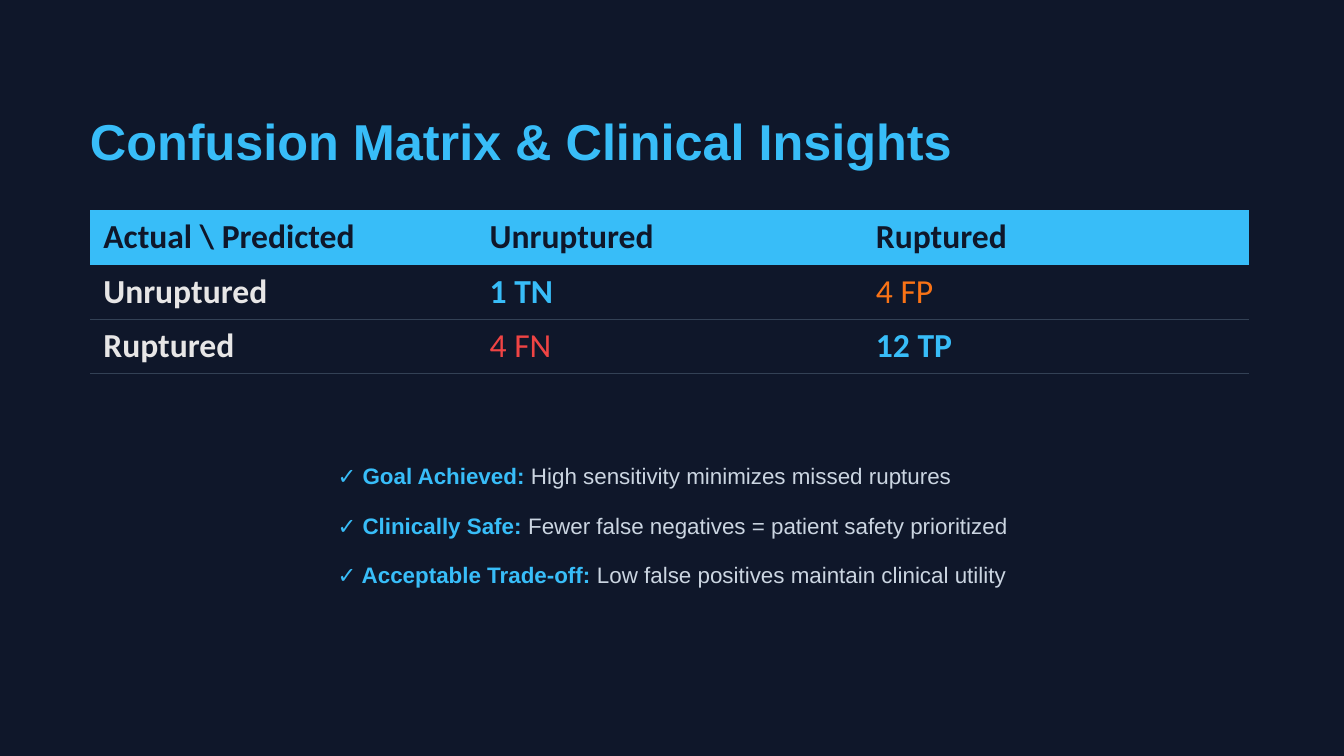
from dataclasses import dataclass

from lxml import etree
from pptx import Presentation
from pptx.dml.color import RGBColor
from pptx.enum.text import MSO_ANCHOR
from pptx.oxml.ns import qn
from pptx.util import Cm, Pt

MIDDLE = MSO_ANCHOR.MIDDLE


@dataclass(frozen=True)
class Theme:
    """Colours, fonts and type sizes of the slide."""

    navy: str = "0F172A"
    sky: str = "38BDF8"
    mist: str = "CBD5E1"
    label: str = "E7E6E6"
    orange: str = "F97316"
    red: str = "EF4444"
    rule: str = "334155"
    text_font: str = "Arial"
    table_font: str = "Calibri"
    title_size: float = 27
    insight_size: float = 12
    table_size: float = 18
    rule_width: float = 0.6


THEME = Theme()

MATRIX = [
    [("Actual \\ Predicted", THEME.navy, True),
     ("Unruptured", THEME.navy, True),
     ("Ruptured", THEME.navy, True)],
    [("Unruptured", THEME.label, True),
     ("1 TN", THEME.sky, True),
     ("4 FP", THEME.orange, False)],
    [("Ruptured", THEME.label, True),
     ("4 FN", THEME.red, False),
     ("12 TP", THEME.sky, True)],
]

INSIGHTS = [
    ("✓ Goal Achieved:", " High sensitivity minimizes missed ruptures"),
    ("✓ Clinically Safe:", " Fewer false negatives = patient safety prioritized"),
    ("✓ Acceptable Trade-off:", " Low false positives maintain clinical utility"),
]


def add_run(paragraph, words, font, size, color, bold):
    """Append one formatted run to a paragraph."""
    run = paragraph.add_run()
    run.text = words
    run.font.name = font
    run.font.size = Pt(size)
    run.font.bold = bold
    run.font.color.rgb = RGBColor.from_string(color)


def add_line(slide, left, top, width, height, spacing, size, parts):
    """Add a one-line text box made of (words, colour, bold) parts."""
    frame = slide.shapes.add_textbox(left, top, width, height).text_frame
    frame.word_wrap = True
    frame.margin_left = frame.margin_top = 0
    frame.margin_right = frame.margin_bottom = 0
    paragraph = frame.paragraphs[0]
    paragraph.line_spacing = Pt(spacing)
    for words, color, bold in parts:
        add_run(paragraph, words, THEME.text_font, size, color, bold)


def set_borders(cell, ruled_edges):
    """Draw a thin rule on the given edges and clear the others."""
    properties = cell._tc.get_or_add_tcPr()
    for edge in "LRTB":
        line = etree.SubElement(properties, qn(f"a:ln{edge}"))
        if edge in ruled_edges:
            line.set("w", str(Pt(THEME.rule_width)))
            fill = etree.SubElement(line, qn("a:solidFill"))
            etree.SubElement(fill, qn("a:srgbClr"), val=THEME.rule)
        else:
            line.set("w", "0")
            etree.SubElement(line, qn("a:noFill"))


def add_matrix(slide, left, top, column_width, row_height):
    """Add the confusion matrix as a table."""
    rows, columns = len(MATRIX), len(MATRIX[0])
    table = slide.shapes.add_table(
        rows, columns, left, top, column_width * columns, row_height * rows
    ).table
    table.horz_banding = False
    ruled_edges = ["", "B", "TB"]
    for row, entries in enumerate(MATRIX):
        table.rows[row].height = row_height
        for column, (words, color, bold) in enumerate(entries):
            cell = table.cell(row, column)
            set_borders(cell, ruled_edges[row])
            cell.fill.solid()
            cell.fill.fore_color.rgb = RGBColor.from_string(
                THEME.navy if row else THEME.sky
            )
            cell.vertical_anchor = MIDDLE
            add_run(cell.text_frame.paragraphs[0], words, THEME.table_font,
                    THEME.table_size, color, bold)


def main():
    """Build the slide and save it."""
    deck = Presentation()
    deck.slide_width, deck.slide_height = Cm(25.4), Cm(14.29)
    slide = deck.slides.add_slide(deck.slide_layouts[6])
    slide.background.fill.solid()
    slide.background.fill.fore_color.rgb = RGBColor.from_string(THEME.navy)

    margin = Cm(1.7)
    add_line(slide, margin, Cm(1.7), Cm(22.45), Cm(1.14), 43.2, THEME.title_size,
             [("Confusion Matrix & Clinical Insights", THEME.sky, True)])
    for index, (finding, reason) in enumerate(INSIGHTS):
        add_line(slide, Cm(6.38), Cm(8.46 + 0.93 * index), Cm(12.88), Cm(0.58),
                 22.4, THEME.insight_size,
                 [(finding, THEME.sky, True), (reason, THEME.mist, False)])
    add_matrix(slide, margin, Cm(3.97), Cm(7.3), Cm(1.03))

    deck.save("out.pptx")


if __name__ == "__main__":
    main()
